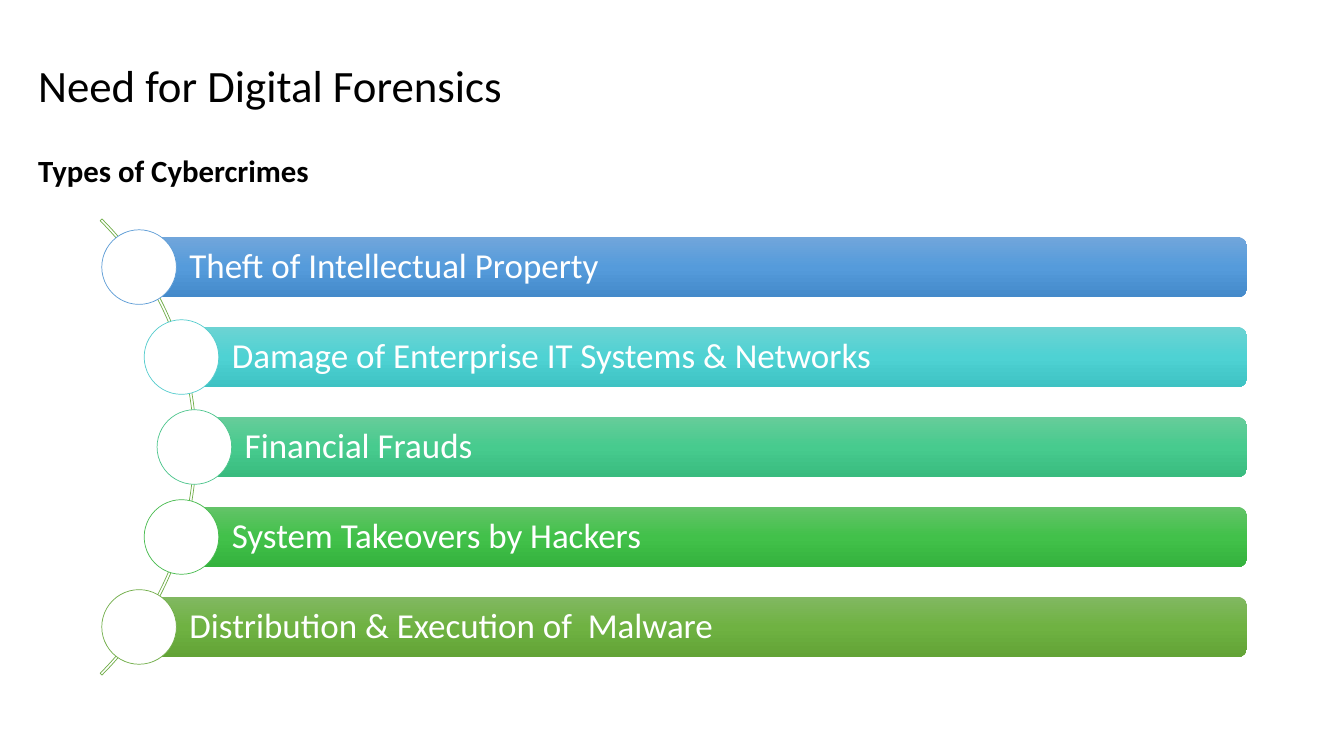
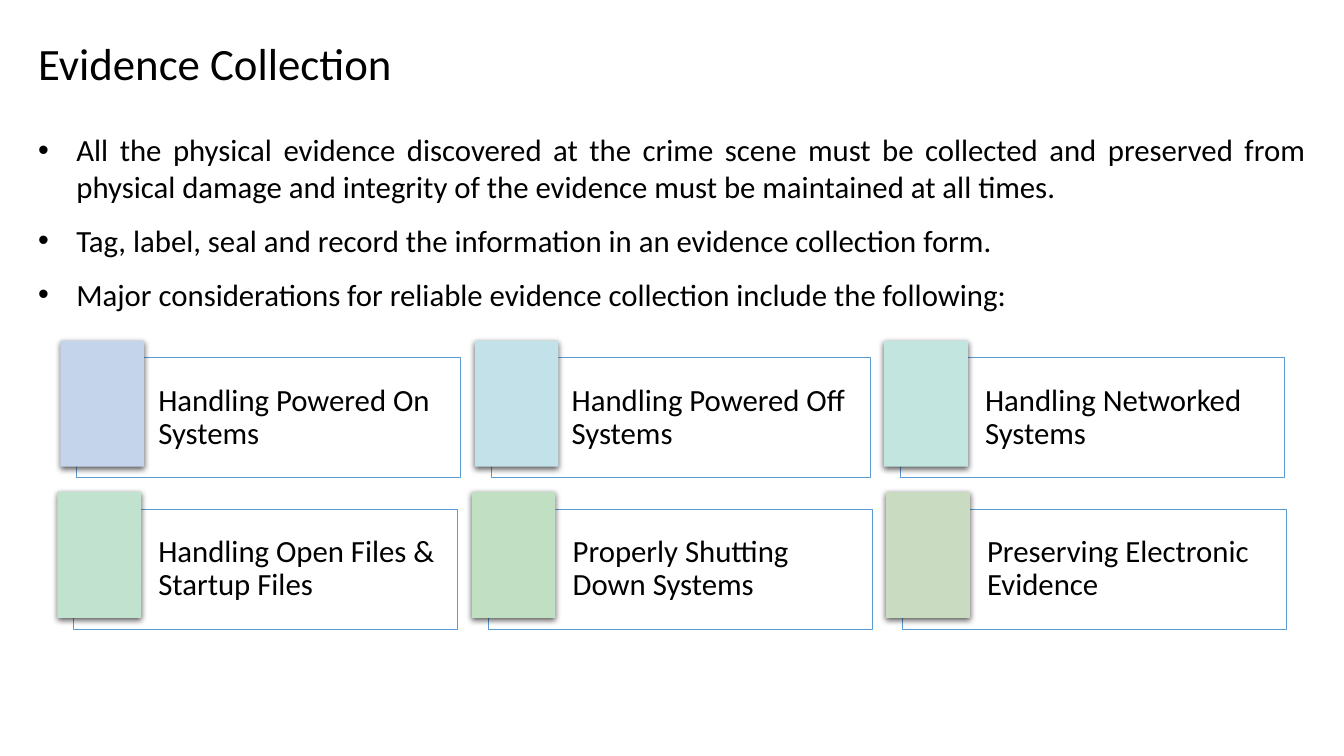
import math

from lxml import etree
from pptx import Presentation
from pptx.dml.color import RGBColor
from pptx.enum.shapes import MSO_SHAPE
from pptx.enum.text import MSO_ANCHOR, PP_ALIGN
from pptx.oxml.ns import qn
from pptx.util import Inches, Pt

RECT, ROUNDED = MSO_SHAPE.RECTANGLE, MSO_SHAPE.ROUNDED_RECTANGLE
OVAL, BLOCK_ARC = MSO_SHAPE.OVAL, MSO_SHAPE.BLOCK_ARC
TOP, MIDDLE = MSO_ANCHOR.TOP, MSO_ANCHOR.MIDDLE
LEFT, JUSTIFY = PP_ALIGN.LEFT, PP_ALIGN.JUSTIFY

FONT = "Calibri"
BLACK = RGBColor(0x00, 0x00, 0x00)
WHITE = RGBColor(0xFF, 0xFF, 0xFF)
BLUE = RGBColor(0x5B, 0x9B, 0xD5)
CYAN = RGBColor(0x54, 0xCC, 0xCD)
TEAL = RGBColor(0x4D, 0xC5, 0x8D)
GREEN = RGBColor(0x48, 0xBB, 0x4F)
OLIVE = RGBColor(0x70, 0xAD, 0x47)
PALE_BLUE = RGBColor(0xC4, 0xD5, 0xEB)
PALE_CYAN = RGBColor(0xC3, 0xE1, 0xE8)
PALE_TEAL = RGBColor(0xC2, 0xE5, 0xDF)
PALE_MINT = RGBColor(0xC2, 0xE2, 0xD0)
PALE_GREEN = RGBColor(0xC1, 0xDF, 0xC3)
PALE_OLIVE = RGBColor(0xC9, 0xDB, 0xC1)


def gradient(top, middle, bottom):
    return [RGBColor.from_string(tone) for tone in (top, middle, bottom)]


BLUE_BAR = gradient("71A6DB", "559BDB", "448ACA")
CYAN_BAR = gradient("6CD3D3", "4ED2D3", "3EC2C3")
TEAL_BAR = gradient("67CC9A", "47CB8E", "39BB7F")
GREEN_BAR = gradient("63C368", "42C14A", "34B23D")
OLIVE_BAR = gradient("81B861", "6FB242", "62A336")

MARGIN, CONTENT_WIDTH = 0.28, 12.77
TITLE_HEIGHT, BODY_HEIGHT = 1.25, 5.35


# Shared helpers; all lengths are in inches
def add_shape(slide, kind, left, top, width, height, fill=None, line=None):
    shape = slide.shapes.add_shape(
        kind, Inches(left), Inches(top), Inches(width), Inches(height))
    shape.shadow.inherit = False
    if fill is None:
        shape.fill.background()
    else:
        shape.fill.solid()
        shape.fill.fore_color.rgb = fill
    if line is None:
        shape.line.fill.background()
    else:
        shape.line.color.rgb = line
        shape.line.width = Pt(0.5)
    return shape


def write(frame, lines, size, color=BLACK, anchor=MIDDLE, align=LEFT,
          bold=False, spacing=1.0, after=0):
    frame.word_wrap = True
    frame.vertical_anchor = anchor
    for number, line in enumerate(lines):
        paragraph = frame.add_paragraph() if number else frame.paragraphs[0]
        paragraph.text = line
        paragraph.alignment = align
        paragraph.line_spacing = spacing
        paragraph.space_after = Pt(after)
        paragraph.font.name = FONT
        paragraph.font.size = Pt(size)
        paragraph.font.bold = bold
        paragraph.font.color.rgb = color


def set_insets(frame, left, other):
    frame.margin_left = Inches(left)
    frame.margin_right = frame.margin_top = frame.margin_bottom = Inches(other)


def fill_gradient(shape, tones):
    shape.fill.gradient()
    shape.fill.gradient_angle = 270
    stops = shape.fill._xPr.find(".//" + qn("a:gsLst"))
    for stop in list(stops):
        stops.remove(stop)
    for position, tone in zip((0, 50000, 100000), tones):
        stop = etree.SubElement(stops, qn("a:gs"), pos=str(position))
        etree.SubElement(stop, qn("a:srgbClr"), val=str(tone))


def set_alpha(color, percent):
    etree.SubElement(color, qn("a:alpha"), val=str(percent * 1000))


def drop_shadow(shape):
    effects = shape._element.spPr.find(qn("a:effectLst"))
    shadow = etree.SubElement(
        effects, qn("a:outerShdw"), blurRad=str(Pt(4.5)), dist=str(Pt(1.5)),
        dir="5400000", algn="ctr", rotWithShape="0")
    set_alpha(etree.SubElement(shadow, qn("a:srgbClr"), val=str(BLACK)), 63)


def add_bullets(frame, indent):
    for paragraph in frame.paragraphs:
        properties = paragraph._p.get_or_add_pPr()
        properties.set("marL", str(Inches(indent)))
        properties.set("indent", str(-Inches(indent)))
        etree.SubElement(properties, qn("a:buFont"), typeface="Arial")
        etree.SubElement(properties, qn("a:buChar"), char="\u2022")


# Title and the body text below it
def add_heading(deck, title, top, body, bold=False):
    slide = deck.slides.add_slide(deck.slide_layouts[6])
    frames = [
        slide.shapes.add_textbox(
            Inches(MARGIN), Inches(box_top),
            Inches(CONTENT_WIDTH), Inches(height)).text_frame
        for box_top, height in ((top, TITLE_HEIGHT),
                                (top + TITLE_HEIGHT, BODY_HEIGHT))]
    write(frames[0], [title], 32)
    write(frames[1], body, 22, anchor=TOP, align=JUSTIFY, bold=bold, after=12)
    return slide, frames[1]


# Bars whose circles follow an arc that bulges to the right
def add_crime_list(slide, left, top, width, height, crimes):
    circle, bar_height, radius, arc_radius = 0.74, 0.6, 3.18, 3.2
    middle = top + height / 2
    step = (height - circle) / (len(crimes) - 1)
    reach = (height - circle) / 2
    hub = left + circle / 2 - math.sqrt(radius ** 2 - reach ** 2)

    arc = add_shape(slide, BLOCK_ARC, hub - arc_radius, middle - arc_radius,
                    2 * arc_radius, 2 * arc_radius, line=OLIVE)
    for index, value in enumerate((189, 27, 0.004)):
        arc.adjustments[index] = value

    for row, (crime, tones, outline) in enumerate(crimes):
        offset = row * step - reach
        center_x = hub + math.sqrt(radius ** 2 - offset ** 2)
        center_y = middle + offset
        bar = add_shape(slide, ROUNDED, center_x, center_y - bar_height / 2,
                        left + width - center_x, bar_height)
        fill_gradient(bar, tones)
        set_insets(bar.text_frame, 0.47, 0.07)
        write(bar.text_frame, [crime], 25, WHITE, spacing=0.9)
        add_shape(slide, OVAL, center_x - circle / 2, center_y - circle / 2,
                  circle, circle, WHITE, outline)


# Outlined card with a coloured tab over its upper left corner
def add_evidence_card(slide, left, top, width, height, topic, color, inset):
    shift_x, shift_y, tab_width, tab_height = 0.16, 0.17, 0.83, 1.25
    card = add_shape(slide, RECT, left + shift_x, top + shift_y,
                     width - shift_x, height - shift_y, WHITE, BLUE)
    set_alpha(card.fill._xPr.find(qn("a:solidFill"))[0], 40)
    set_insets(card.text_frame, inset, 0.09)
    write(card.text_frame, [topic], 22, spacing=0.9)
    drop_shadow(add_shape(slide, RECT, left, top, tab_width, tab_height, color))


def build_cybercrimes(deck):
    slide, _ = add_heading(deck, "Need for Digital Forensics", 0.21,
                           ["Types of Cybercrimes"], bold=True)
    add_crime_list(slide, 1.01, 2.28, 11.36, 4.31, [
        ("Theft of Intellectual Property", BLUE_BAR, BLUE),
        ("Damage of Enterprise IT Systems & Networks", CYAN_BAR, CYAN),
        ("Financial Frauds", TEAL_BAR, TEAL),
        ("System Takeovers by Hackers", GREEN_BAR, GREEN),
        ("Distribution & Execution of  Malware", OLIVE_BAR, OLIVE),
    ])


def build_evidence(deck):
    slide, body = add_heading(deck, "Evidence Collection", 0, [
        "All the physical evidence discovered at the crime scene must be "
        "collected and preserved from physical damage and integrity of the "
        "evidence must be maintained at all times.",
        "Tag, label, seal and record the information in an evidence "
        "collection form.",
        "Major considerations for reliable evidence collection include the "
        "following:",
    ])
    add_bullets(body, 0.38)

    # Each card: left, width, text inset, topic, tab colour
    rows = {
        3.38: [
            (0.6, 3.97, 0.81, "Handling Powered On Systems", PALE_BLUE),
            (4.71, 3.92, 0.8, "Handling Powered Off Systems", PALE_CYAN),
            (8.77, 3.97, 0.84, "Handling Networked Systems", PALE_TEAL),
        ],
        4.88: [
            (0.57, 3.97, 0.84, "Handling Open Files & Startup Files", PALE_MINT),
            (4.68, 3.97, 0.84, "Properly Shutting Down Systems", PALE_GREEN),
            (8.79, 3.97, 0.84, "Preserving Electronic Evidence", PALE_OLIVE),
        ],
    }
    for top, cards in rows.items():
        for left, width, inset, topic, color in cards:
            add_evidence_card(slide, left, top, width, 1.36, topic, color, inset)


deck = Presentation()
deck.slide_width, deck.slide_height = Inches(13.33), Inches(7.5)
build_cybercrimes(deck)
build_evidence(deck)
deck.save("out.pptx")
